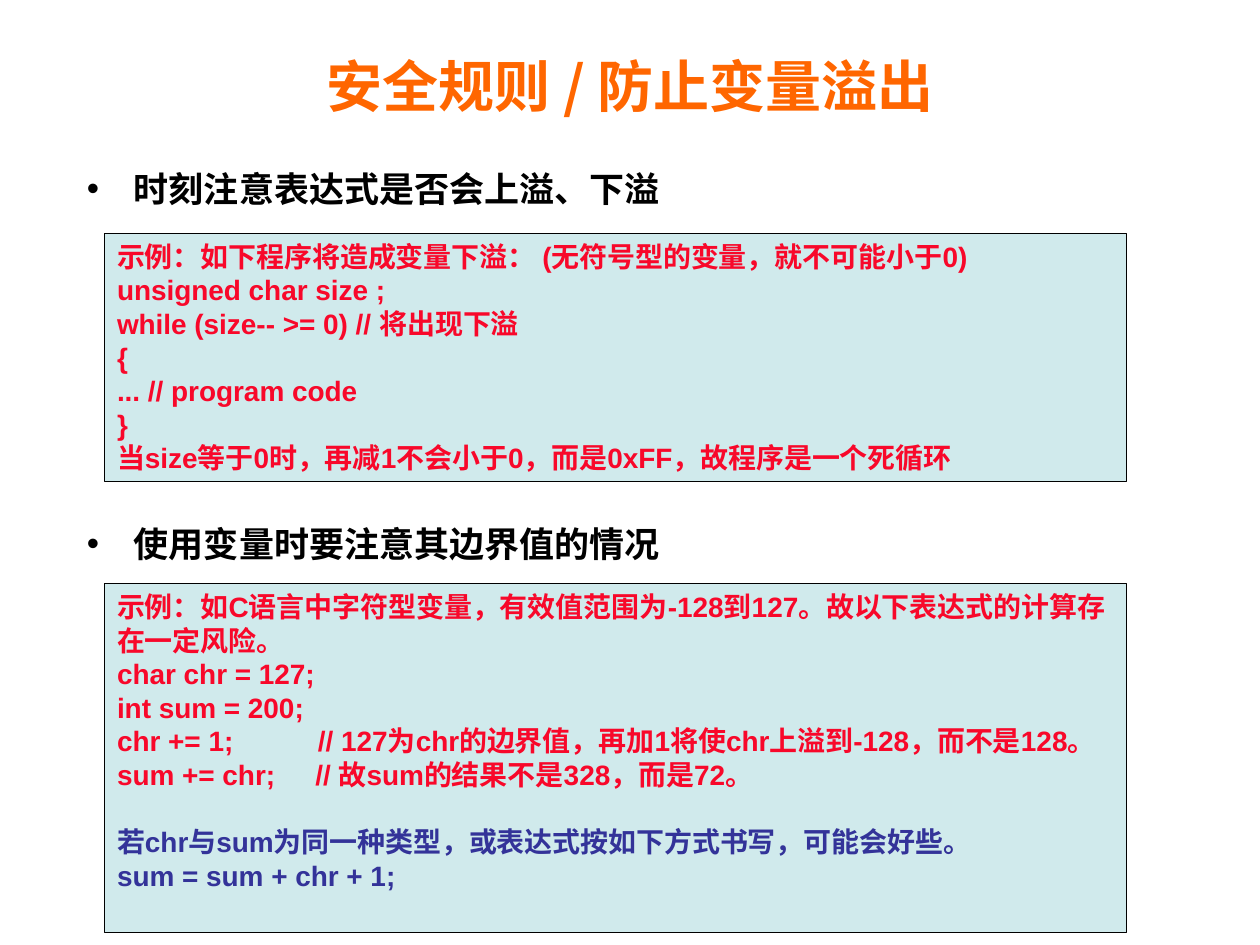
from lxml.etree import SubElement
from pptx import Presentation
from pptx.dml.color import RGBColor
from pptx.enum.shapes import MSO_SHAPE
from pptx.enum.text import MSO_ANCHOR, PP_ALIGN
from pptx.oxml.ns import qn
from pptx.util import Cm, Pt


def color(value):
    return RGBColor.from_string(value)


def write(paragraph, text, size=16, fill="F8082A", font="Arial", align=PP_ALIGN.LEFT,
          line=None, before=0, bullet=False, tab=None):
    paragraph.alignment = align
    paragraph.space_before = Pt(before)
    if line:
        paragraph.line_spacing = Pt(line)
    properties = paragraph._p.get_or_add_pPr()
    if bullet:
        properties.set("marL", str(Cm(0.95)))
        properties.set("indent", str(-Cm(0.95)))
        SubElement(properties, qn("a:buFont"), typeface="Arial")
        SubElement(properties, qn("a:buChar"), char="•")
    if tab:
        stops = SubElement(properties, qn("a:tabLst"))
        SubElement(stops, qn("a:tab"), pos=str(tab), algn="l")
    run = paragraph.add_run()
    run.text = text
    run.font.size = Pt(size)
    run.font.bold = True
    run.font.color.rgb = color(fill)
    run.font.name = font
    SubElement(run._r.get_or_add_rPr(), qn("a:ea"), typeface="Noto Sans CJK SC")


presentation = Presentation()
presentation.slide_width = Cm(25.4)
presentation.slide_height = Cm(19.05)
slide = presentation.slides.add_slide(presentation.slide_layouts[6])

title = slide.shapes.add_textbox(Cm(1.27), Cm(0.13), Cm(22.86), Cm(3.18)).text_frame
title.word_wrap = True
title.vertical_anchor = MSO_ANCHOR.MIDDLE
write(title.paragraphs[0], "安全规则 / 防止变量溢出", size=32, fill="FF6600",
      font="Noto Sans CJK SC", align=PP_ALIGN.CENTER)

body = slide.shapes.add_textbox(Cm(1.5), Cm(3.25), Cm(24), Cm(13.28)).text_frame
body.word_wrap = True
rules = [("时刻注意表达式是否会上溢、下溢", 0), ("使用变量时要注意其边界值的情况", 179)]
for index, (text, before) in enumerate(rules):
    paragraph = body.add_paragraph() if index else body.paragraphs[0]
    write(paragraph, text, size=20, fill="000000", line=24, before=before, bullet=True)

blue = "333399"
examples = [
    (11.76, 7.04, [
        ("示例：如C语言中字符型变量，有效值范围为-128到127。故以下表达式的计算存在一定风险。", {}),
        ("char chr = 127;", {}),
        ("int sum = 200;", {}),
        ("chr += 1;\t// 127为chr的边界值，再加1将使chr上溢到-128，而不是128。", {"tab": Cm(4.05)}),
        ("sum += chr;\t// 故sum的结果不是328，而是72。", {"tab": Cm(4)}),
        ("若chr与sum为同一种类型，或表达式按如下方式书写，可能会好些。", {"fill": blue, "before": 19.2}),
        ("sum = sum + chr + 1;", {"fill": blue}),
    ]),
    (4.7, 5, [
        ("示例：如下程序将造成变量下溢： (无符号型的变量，就不可能小于0)", {}),
        ("unsigned char size ;", {}),
        ("while (size-- >= 0) // 将出现下溢", {}),
        ("{", {}),
        ("... // program code", {}),
        ("}", {}),
        ("当size等于0时，再减1不会小于0，而是0xFF，故程序是一个死循环", {}),
    ]),
]
for top, height, lines in examples:
    shape = slide.shapes.add_shape(MSO_SHAPE.RECTANGLE, Cm(2.11), Cm(top), Cm(20.6), Cm(height))
    shape.shadow.inherit = False
    shape.fill.solid()
    shape.fill.fore_color.rgb = color("D0EAEC")
    shape.line.color.rgb = color("000000")
    shape.line.width = Pt(0.25)
    frame = shape.text_frame
    frame.word_wrap = True
    frame.vertical_anchor = MSO_ANCHOR.TOP
    for index, (text, options) in enumerate(lines):
        paragraph = frame.add_paragraph() if index else frame.paragraphs[0]
        write(paragraph, text, line=19.2, **options)

presentation.save("out.pptx")
